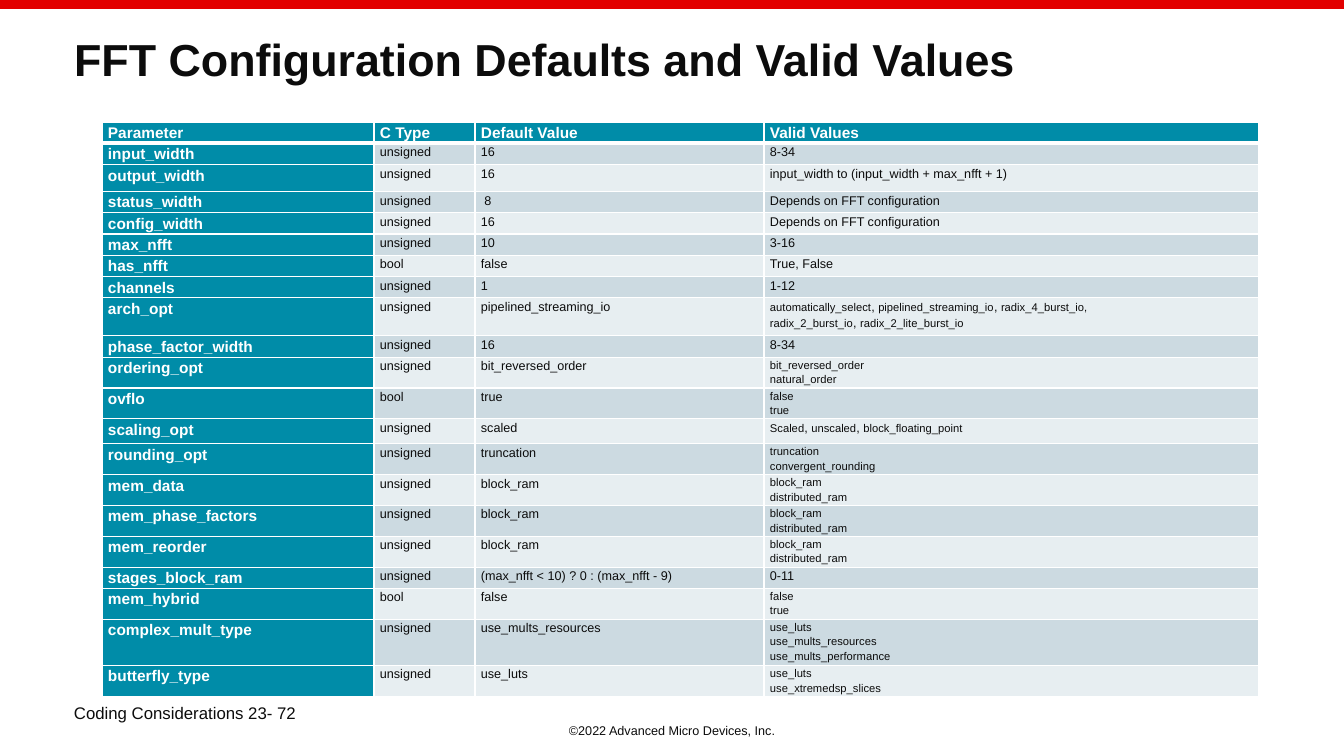
from dataclasses import dataclass

from lxml import etree
from pptx import Presentation
from pptx import util as u
from pptx.dml.color import RGBColor
from pptx.enum import shapes, text
from pptx.oxml.ns import qn

PX = 914400 / 100.8
SLIDE_WIDTH, SLIDE_HEIGHT = 1344, 756
FONT = "Arial"
SEPARATOR = ", "
COLORS = {
    "ink": "0C0C0C",
    "white": "FFFFFF",
    "red": "E20000",
    "teal": "008CA8",
    "band_dark": "CCDAE1",
    "band_light": "E7EEF1",
}


@dataclass
class Box:
    left: int
    top: int
    width: int
    height: int


@dataclass
class Parameter:
    name: str
    c_type: str
    default: str
    valid: str
    height: int = 14
    valid_size: int = 9


@dataclass
class TextStyle:
    size: int
    color: str = "ink"
    bold: bool = False


TITLE_BOX = Box(64, 33, 1217, 108)
BAR_BOX = Box(0, 0, SLIDE_WIDTH, 9)
COPYRIGHT_BOX = Box(0, 718, SLIDE_WIDTH, 25)
SECTION_BOX = Box(64, 698, 243, 40)
TABLE_BOX = Box(102, 122, 1157, 554)
COLUMN_WIDTHS = [272, 101, 289, 495]
CELL_MARGIN = 6
HEADING = TextStyle(11, "white", True)

ROWS = [
    Parameter("Parameter", "C Type", "Default Value", "Valid Values"),
    Parameter("input_width", "unsigned", "16", "8-34"),
    Parameter("output_width", "unsigned", "16", "input_width to (input_width + max_nfft + 1)", 27),
    Parameter("status_width", "unsigned", " 8", "Depends on FFT configuration"),
    Parameter("config_width", "unsigned", "16", "Depends on FFT configuration"),
    Parameter("max_nfft", "unsigned", "10", "3-16"),
    Parameter("has_nfft", "bool", "false", "True, False"),
    Parameter("channels", "unsigned", "1", "1-12"),
    Parameter("arch_opt", "unsigned", "pipelined_streaming_io",
              "automatically_select, pipelined_streaming_io, radix_4_burst_io,\n"
              "radix_2_burst_io, radix_2_lite_burst_io", 38, 8),
    Parameter("phase_factor_width", "unsigned", "16", "8-34"),
    Parameter("ordering_opt", "unsigned", "bit_reversed_order", "bit_reversed_order\nnatural_order", 23, 8),
    Parameter("ovflo", "bool", "true", "false\ntrue", 23, 8),
    Parameter("scaling_opt", "unsigned", "scaled", "Scaled, unscaled, block_floating_point", 25, 8),
    Parameter("rounding_opt", "unsigned", "truncation", "truncation\nconvergent_rounding", 23, 8),
    Parameter("mem_data", "unsigned", "block_ram", "block_ram\ndistributed_ram", 23, 8),
    Parameter("mem_phase_factors", "unsigned", "block_ram", "block_ram\ndistributed_ram", 23, 8),
    Parameter("mem_reorder", "unsigned", "block_ram", "block_ram\ndistributed_ram", 23, 8),
    Parameter("stages_block_ram", "unsigned", "(max_nfft < 10) ? 0 : (max_nfft - 9)", "0-11"),
    Parameter("mem_hybrid", "bool", "false", "false\ntrue", 23, 8),
    Parameter("complex_mult_type", "unsigned", "use_mults_resources",
              "use_luts\nuse_mults_resources\nuse_mults_performance", 35, 8),
    Parameter("butterfly_type", "unsigned", "use_luts", "use_luts\nuse_xtremedsp_slices", 23, 8),
]


def px(length: int) -> u.Emu:
    return u.Emu(round(length * PX))


def bounds(box: Box) -> list[u.Emu]:
    return [px(box.left), px(box.top), px(box.width), px(box.height)]


def color(name: str) -> RGBColor:
    return RGBColor.from_string(COLORS[name])


def format_run(run, style: TextStyle) -> None:
    run.font.name = FONT
    run.font.size = u.Pt(9 if run.text == SEPARATOR else style.size)
    run.font.bold = style.bold
    run.font.color.rgb = color(style.color)


def write_frame(frame, content: str, style: TextStyle, align=text.PP_ALIGN.LEFT, spacing: float = 1.0) -> None:
    frame.word_wrap = True
    frame.text = content
    for paragraph in frame.paragraphs:
        paragraph.alignment = align
        paragraph.line_spacing = spacing
        if style.size == 8 and SEPARATOR in paragraph.text:
            first, *others = paragraph.text.split(SEPARATOR)
            paragraph.text = first
            for other in others:
                paragraph.add_run().text = SEPARATOR
                paragraph.add_run().text = other
        for run in paragraph.runs:
            format_run(run, style)


def add_label(slide, box: Box, content: str, style: TextStyle, align=text.PP_ALIGN.LEFT):
    label = slide.shapes.add_textbox(*bounds(box))
    write_frame(label.text_frame, content, style, align)
    return label


def add_borders(cell, top: int, bottom: int) -> None:
    properties = cell._tc.get_or_add_tcPr()
    for side, width in (("L", 1), ("R", 1), ("T", top), ("B", bottom)):
        line = etree.SubElement(properties, qn(f"a:ln{side}"), w=str(u.Pt(width)))
        fill = etree.SubElement(line, qn("a:solidFill"))
        etree.SubElement(fill, qn("a:srgbClr"), val=COLORS["white"])


def fill_cell(cell, content: str, style: TextStyle, background: str, row: int) -> None:
    cell.margin_left = cell.margin_right = px(CELL_MARGIN)
    cell.margin_top = cell.margin_bottom = 0
    add_borders(cell, top=3 if row == 1 else 1, bottom=3 if row == 0 else 1)
    cell.fill.solid()
    cell.fill.fore_color.rgb = color(background)
    write_frame(cell.text_frame, content, style, spacing=1.15)


def add_parameter_table(slide) -> None:
    graphic_frame = slide.shapes.add_table(len(ROWS), len(COLUMN_WIDTHS), *bounds(TABLE_BOX))
    table = graphic_frame.table
    table.horz_banding = False
    for column, width in zip(table.columns, COLUMN_WIDTHS):
        column.width = px(width)
    for row, parameter in enumerate(ROWS):
        table.rows[row].height = px(parameter.height)
        values = [parameter.name, parameter.c_type, parameter.default, parameter.valid]
        band = "band_dark" if row % 2 else "band_light"
        for column, value in enumerate(values):
            is_heading = row == 0 or column == 0
            body = TextStyle(parameter.valid_size if column == 3 else 9)
            fill_cell(table.cell(row, column), value, HEADING if is_heading else body,
                      "teal" if is_heading else band, row)
    graphic_frame.height = px(TABLE_BOX.height)


def add_bar(slide) -> None:
    bar = slide.shapes.add_shape(shapes.MSO_SHAPE.RECTANGLE, *bounds(BAR_BOX))
    bar.shadow.inherit = False
    bar.fill.solid()
    bar.fill.fore_color.rgb = color("red")
    bar.line.fill.background()


def set_title(slide, content: str) -> None:
    title = slide.shapes.title
    title.left, title.top, title.width, title.height = bounds(TITLE_BOX)
    title.text_frame.auto_size = text.MSO_AUTO_SIZE.NONE
    title.text_frame.vertical_anchor = text.MSO_ANCHOR.TOP
    write_frame(title.text_frame, content, TextStyle(32, bold=True), spacing=0.9)


def main() -> None:
    presentation = Presentation()
    presentation.slide_width, presentation.slide_height = px(SLIDE_WIDTH), px(SLIDE_HEIGHT)
    slide = presentation.slides.add_slide(presentation.slide_layouts[5])
    copyright_label = add_label(slide, COPYRIGHT_BOX, "©2022 Advanced Micro Devices, Inc.",
                                TextStyle(9), text.PP_ALIGN.CENTER)
    copyright_label.text_frame.auto_size = text.MSO_AUTO_SIZE.SHAPE_TO_FIT_TEXT
    add_bar(slide)
    set_title(slide, "FFT Configuration Defaults and Valid Values")
    add_label(slide, SECTION_BOX, "Coding Considerations 23- 72", TextStyle(12))
    add_parameter_table(slide)
    presentation.save("out.pptx")


if __name__ == "__main__":
    main()
